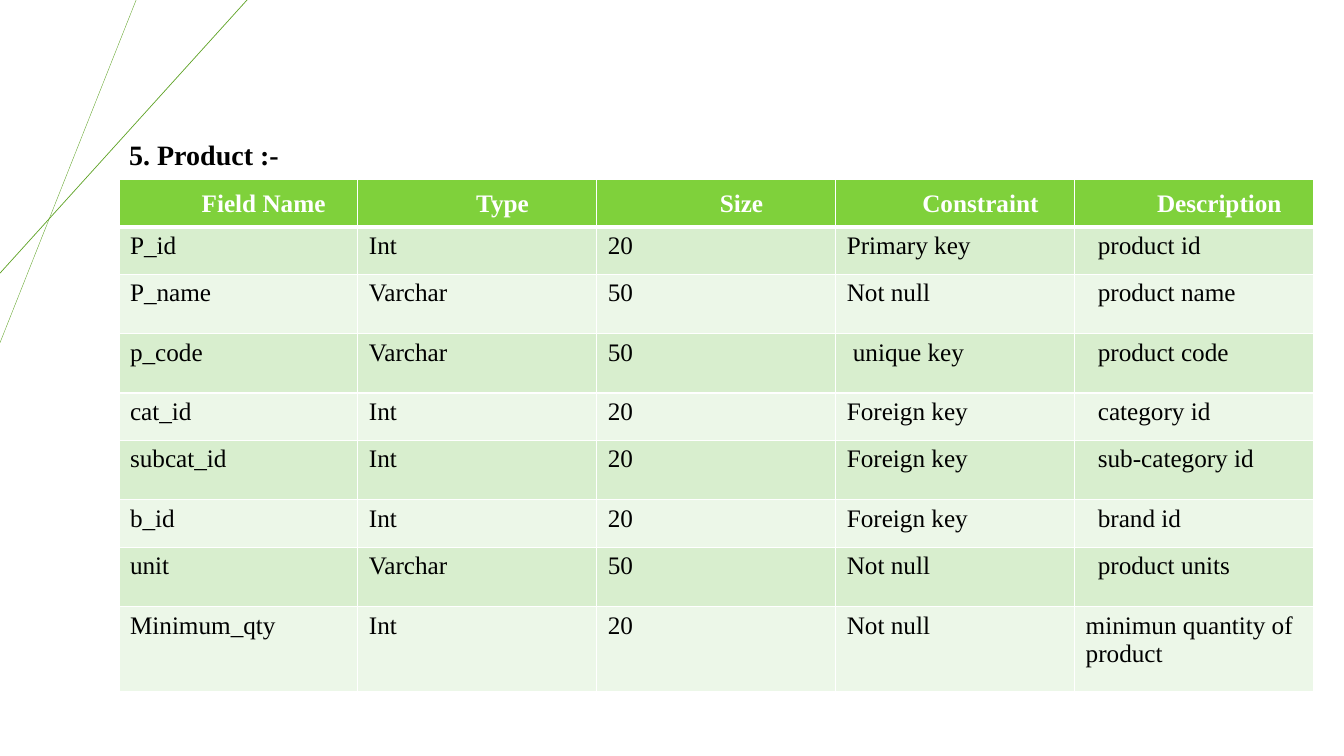
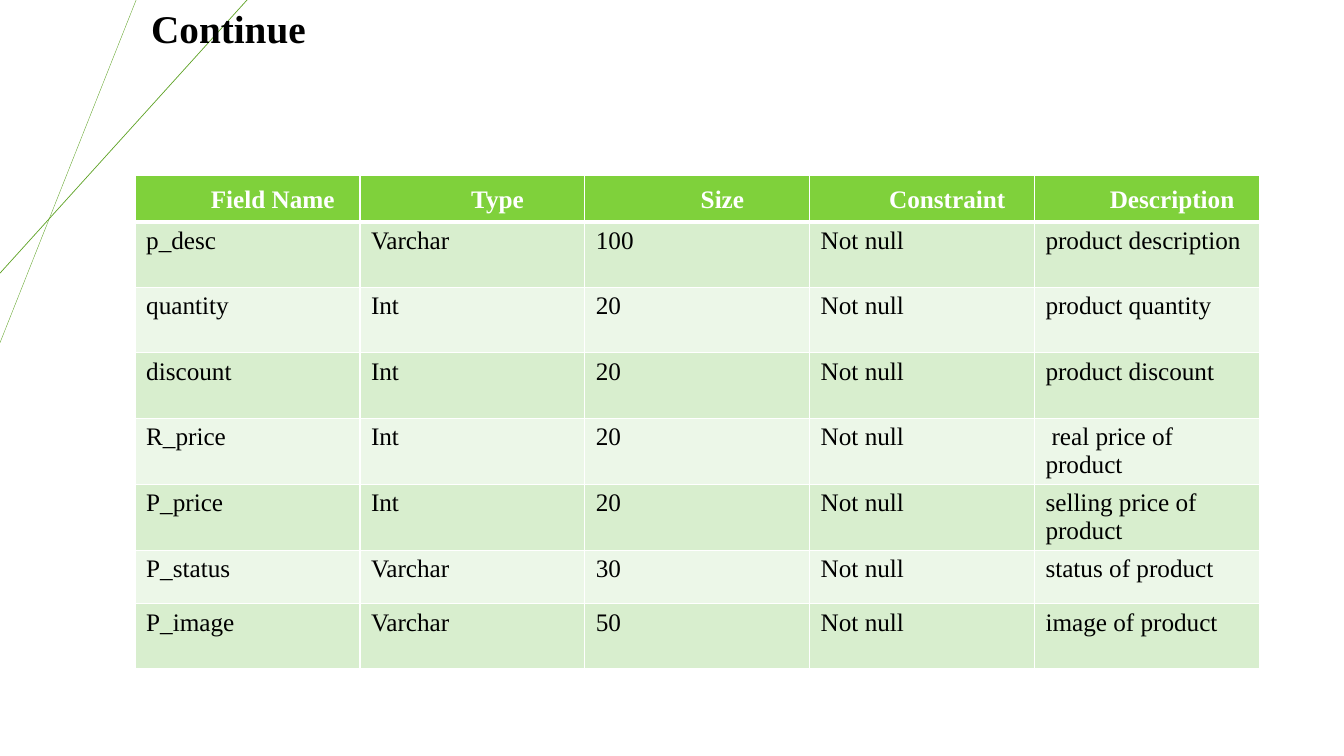
from dataclasses import dataclass

from lxml.etree import SubElement
from pptx import Presentation
from pptx.dml.color import RGBColor
from pptx.enum.shapes import MSO_CONNECTOR
from pptx.enum.text import MSO_ANCHOR, PP_ALIGN
from pptx.oxml.ns import qn
from pptx.util import Emu, Pt


@dataclass(frozen=True)
class Theme:
    font: str = "Times New Roman"
    ink: str = "000000"
    white: str = "FFFFFF"
    ray: str = "5FA326"
    header: str = "7FD13B"
    bands: tuple = ("D8EECE", "ECF7E8")
    cell_size: int = 18
    heading_size: int = 20
    continue_size: int = 28
    spacing: float = 1.07
    border: int = 1
    header_border: int = 3


THEME = Theme()
PX_EMU = 9144  # 100 px to the inch
HEADINGS = ("Field Name", "Type", "Size", "Constraint", "Description")

PRODUCT_FIELDS = (
    ("P_id", "Int", "20", "Primary key", "product id"),
    ("P_name", "Varchar", "50", "Not null", "product name"),
    ("p_code", "Varchar", "50", "unique key", "product code"),
    ("cat_id", "Int", "20", "Foreign key", "category id"),
    ("subcat_id", "Int", "20", "Foreign key", "sub-category id"),
    ("b_id", "Int", "20", "Foreign key", "brand id"),
    ("unit", "Varchar", "50", "Not null", "product units"),
    ("Minimum_qty", "Int", "20", "Not null", "minimun quantity of product"),
)
MORE_FIELDS = (
    ("p_desc", "Varchar", "100", "Not null", "product description"),
    ("quantity", "Int", "20", "Not null", "product quantity"),
    ("discount", "Int", "20", "Not null", "product discount"),
    ("R_price", "Int", "20", "Not null", "real price of product"),
    ("P_price", "Int", "20", "Not null", "selling price of product"),
    ("P_status", "Varchar", "30", "Not null", "status of product"),
    ("P_image", "Varchar", "50", "Not null", "image of product"),
)


def px(length):
    return Emu(length * PX_EMU)


def style(paragraph, size, color, bold):
    font = paragraph.font
    font.name, font.size, font.bold = THEME.font, Pt(size), bold
    font.color.rgb = RGBColor.from_string(color)


# Shared decoration
def add_ray(slide, top_x, left_y, width):
    """Draw a thin ray from the top edge to the left edge."""
    ray = slide.shapes.add_connector(
        MSO_CONNECTOR.STRAIGHT, px(top_x), px(0), px(0), px(left_y))
    ray.line.color.rgb = RGBColor.from_string(THEME.ray)
    ray.line.width = Pt(width)
    SubElement(ray.element.spPr, qn("a:effectLst"))


def new_slide(prs):
    slide = prs.slides.add_slide(prs.slide_layouts[6])
    add_ray(slide, 135, 340, 0.25)
    add_ray(slide, 245, 271, 0.5)
    return slide


def add_title(slide, text, box, inset, size):
    frame = slide.shapes.add_textbox(*map(px, box)).text_frame
    frame.word_wrap = True
    frame.vertical_anchor = MSO_ANCHOR.BOTTOM
    frame.margin_left, frame.margin_right = px(inset), px(0)
    frame.margin_top, frame.margin_bottom = px(0), px(2)
    title = frame.paragraphs[0]
    title.text = text
    title.line_spacing = THEME.spacing
    style(title, size, THEME.ink, True)


# Field tables
def set_borders(cell, top, bottom):
    """Give the cell white borders; call before setting its fill."""
    widths = {"L": THEME.border, "R": THEME.border, "T": top, "B": bottom}
    properties = cell._tc.get_or_add_tcPr()
    for side, width in widths.items():
        line = SubElement(properties, qn(f"a:ln{side}"), w=str(Pt(width)))
        fill = SubElement(line, qn("a:solidFill"))
        SubElement(fill, qn("a:srgbClr"), val=THEME.white)


def set_cell(cell, text, fill, margins, borders):
    set_borders(cell, *borders)
    cell.fill.solid()
    cell.fill.fore_color.rgb = RGBColor.from_string(fill)
    side, edge = map(px, margins)
    cell.margin_left = cell.margin_right = side
    cell.margin_top = cell.margin_bottom = edge
    cell.text = text
    return cell.text_frame.paragraphs[0]


def set_heading(cell, text):
    heading = set_cell(cell, text, THEME.header, (8, 0),
                       (THEME.border, THEME.header_border))
    cell.vertical_anchor = MSO_ANCHOR.MIDDLE
    heading._p.get_or_add_pPr().set("marL", str(px(50)))
    heading.alignment = PP_ALIGN.CENTER
    heading.line_spacing = THEME.spacing
    style(heading, THEME.cell_size, THEME.white, True)


def set_field(cell, text, row, indent):
    top = THEME.header_border if row == 1 else THEME.border
    field = set_cell(cell, text, THEME.bands[(row - 1) % 2], (11, 5),
                     (top, THEME.border))
    if indent:
        field._p.get_or_add_pPr().set("indent", str(px(indent)))
    style(field, THEME.cell_size, THEME.ink, False)


def add_field_table(slide, fields, left, top, column_width, heights, indents):
    """Draw the table; indents maps (row, column) to a first-line indent."""
    table = slide.shapes.add_table(
        len(heights), len(HEADINGS), px(left), px(top),
        px(column_width * len(HEADINGS)), px(sum(heights))).table
    table.horz_banding = False
    for column in table.columns:
        column.width = px(column_width)
    for row, height in zip(table.rows, heights):
        row.height = px(height)
    for column, text in enumerate(HEADINGS):
        set_heading(table.cell(0, column), text)
    for row, values in enumerate(fields, start=1):
        for column, text in enumerate(values):
            set_field(table.cell(row, column), text, row,
                      indents.get((row, column), 0))


def main():
    prs = Presentation()
    prs.slide_width, prs.slide_height = px(1333), px(750)

    # Product table
    product = new_slide(prs)
    add_title(product, "5. Product :-", (104, 79, 210, 93), 24,
              THEME.heading_size)
    description_indents = {(row, 4): 12 for row in range(1, 8)}
    add_field_table(product, PRODUCT_FIELDS, 118, 178, 237,
                    (47, 47, 59, 59, 47, 59, 47, 59, 84),
                    {**description_indents, (3, 3): 6})

    # Product table, continued
    continued = new_slide(prs)
    add_field_table(continued, MORE_FIELDS, 134, 174, 223,
                    (46, 65, 65, 65, 65, 65, 53, 65), {(4, 4): 6})
    add_title(continued, "Continue", (134, -4, 667, 57), 16,
              THEME.continue_size)

    prs.save("out.pptx")


if __name__ == "__main__":
    main()
